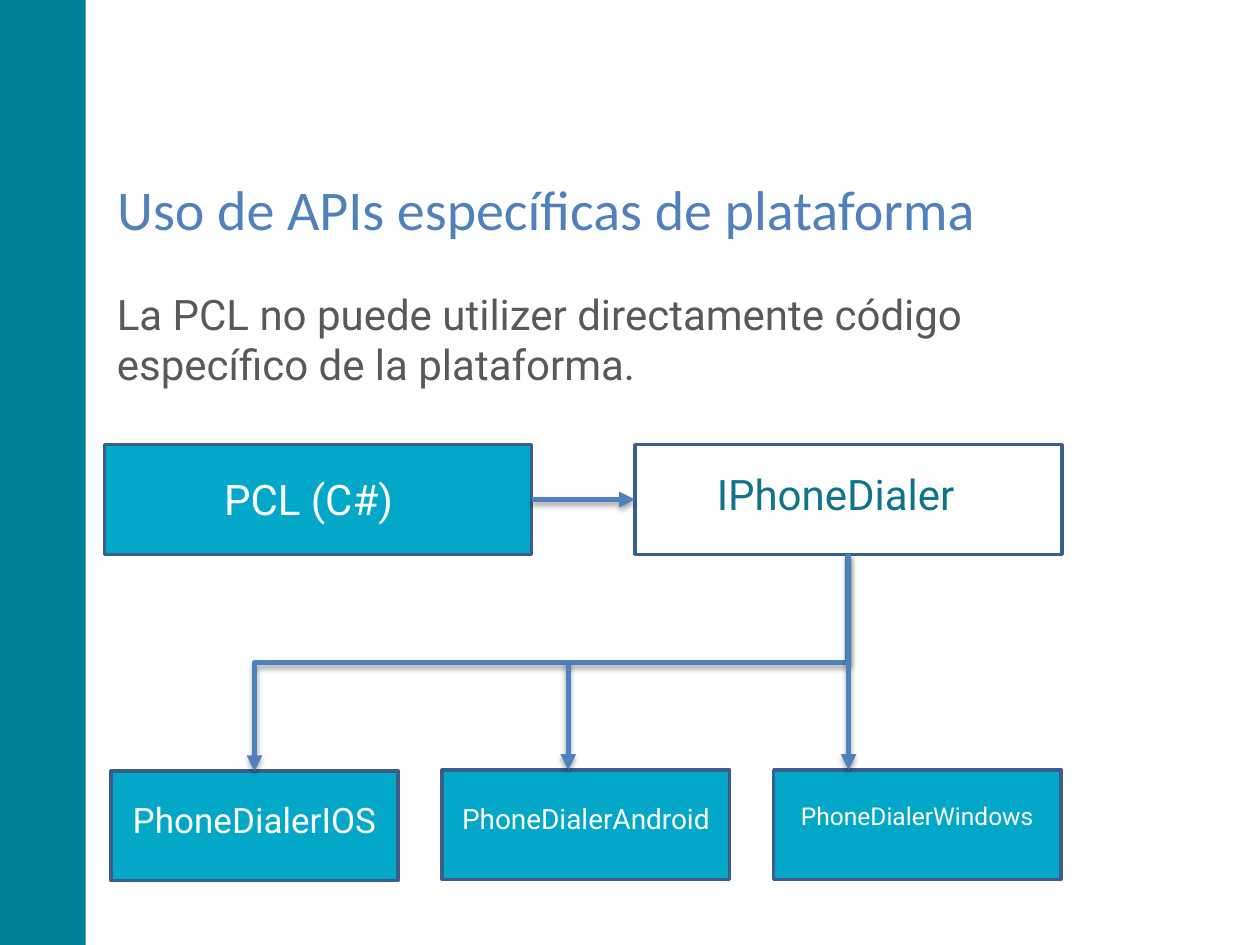
from dataclasses import dataclass
from lxml import etree
from pptx import Presentation
from pptx.dml.color import RGBColor
from pptx.enum.shapes import MSO_CONNECTOR, MSO_SHAPE
from pptx.enum.text import MSO_ANCHOR, MSO_AUTO_SIZE, PP_ALIGN
from pptx.oxml import parse_xml
from pptx.oxml.ns import nsdecls, qn
from pptx.shapes.autoshape import Shape
from pptx.shapes.connector import Connector
from pptx.slide import Slide
from pptx.util import Inches, Pt

RECT = MSO_SHAPE.RECTANGLE
LINE, BENT = MSO_CONNECTOR.STRAIGHT, MSO_CONNECTOR.ELBOW
LEFT, MID = PP_ALIGN.LEFT, PP_ALIGN.CENTER
CENTER = MSO_ANCHOR.MIDDLE
FIXED, GROW = MSO_AUTO_SIZE.NONE, MSO_AUTO_SIZE.SHAPE_TO_FIT_TEXT
DOWN, WEST, EAST = 2, 1, 3


@dataclass(frozen=True)
class Theme:
    bar: str = "027F98"
    blue: str = "4F81BD"
    gray: str = "595959"
    cyan: str = "03A8C9"
    white: str = "FFFFFF"
    edge: str = "3A5F8C"
    teal: str = "0F748A"
    head: str = "Calibri"
    body: str = "Roboto"
    title: int = 32
    text: int = 24
    frame: int = 2
    wire: int = 3


@dataclass(frozen=True)
class Area:
    left: float
    top: float
    width: float
    height: float


@dataclass(frozen=True)
class Label:
    text: str
    area: Area
    size: int
    color: str
    align: PP_ALIGN = LEFT


@dataclass(frozen=True)
class Node:
    area: Area
    fill: str
    label: Label


THEME = Theme()
BOX_W, BOX_H, LEAF_W = 3.39, 0.87, 2.28
LEAF_X, STEP = 0.88, 2.63
TRUNK_X, FORK_Y, ROW_Y = 6.73, 5.25, 6.11


def set_area(shape: Shape, area: Area) -> None:
    shape.left, shape.top = Inches(area.left), Inches(area.top)
    shape.width, shape.height = Inches(area.width), Inches(area.height)


def write(shape: Shape, text: str, size: int, color: str, font: str, align: PP_ALIGN) -> None:
    para = shape.text_frame.paragraphs[0]
    para.alignment = align
    run = para.add_run()
    run.text = text
    run.font.name = font
    run.font.size = Pt(size)
    run.font.color.rgb = RGBColor.from_string(color)


def add_rect(slide: Slide, area: Area, fill: str, edge: str | None = None) -> Shape:
    rect = slide.shapes.add_shape(RECT, 0, 0, 0, 0)
    set_area(rect, area)
    rect.shadow.inherit = False
    rect.fill.solid()
    rect.fill.fore_color.rgb = RGBColor.from_string(fill)
    if edge:
        rect.line.color.rgb = RGBColor.from_string(edge)
        rect.line.width = Pt(THEME.frame)
    else:
        rect.line.fill.background()
    return rect


def add_label(slide: Slide, label: Label) -> None:
    box = slide.shapes.add_textbox(0, 0, 0, 0)
    set_area(box, label.area)
    box.text_frame.word_wrap = True
    box.text_frame.auto_size = GROW
    write(box, label.text, label.size, label.color, THEME.body, label.align)


def style_wire(wire: Connector) -> None:
    wire.line.color.rgb = RGBColor.from_string(THEME.blue)
    wire.line.width = Pt(THEME.wire)
    stroke = wire.line._get_or_add_ln()
    etree.SubElement(stroke, qn("a:tailEnd"), type="triangle")
    stroke.addnext(parse_xml(
        f'<a:effectLst {nsdecls("a")}><a:outerShdw blurRad="{Pt(3.1)}" '
        f'dist="{Pt(1.8)}" dir="5400000" rotWithShape="0"><a:srgbClr val="000000">'
        '<a:alpha val="35000"/></a:srgbClr></a:outerShdw></a:effectLst>'))


def add_wire(slide: Slide, x1: float, y1: float, x2: float, y2: float) -> Connector:
    wire = slide.shapes.add_connector(LINE, Inches(x1), Inches(y1), Inches(x2), Inches(y2))
    style_wire(wire)
    return wire


def add_bent(slide: Slide, x1: float, y1: float, x2: float, y2: float) -> None:
    mid_x, mid_y = (x1 + x2) / 2, (y1 + y2) / 2
    half_w, half_h = (y2 - y1) / 2, (x1 - x2) / 2
    wire = slide.shapes.add_connector(
        BENT, Inches(mid_x - half_w), Inches(mid_y - half_h),
        Inches(mid_x + half_w), Inches(mid_y + half_h))
    wire._element.spPr.find(qn("a:xfrm")).set("rot", "5400000")
    style_wire(wire)


def add_node(slide: Slide, node: Node) -> Shape:
    return add_rect(slide, node.area, node.fill, THEME.edge)


def add_title(slide: Slide, text: str) -> None:
    title = slide.shapes.title
    set_area(title, Area(0.83, 1.33, 7.37, 0.65))
    title.text_frame.word_wrap = True
    title.text_frame.auto_size = FIXED
    title.text_frame.vertical_anchor = CENTER
    write(title, text, THEME.title, THEME.blue, THEME.head, LEFT)


def leaf(col: int, top: float, text: str, size: int, text_y: float, text_h: float) -> Node:
    left = LEAF_X + col * STEP
    label = Label(text, Area(left, text_y, LEAF_W, text_h), size, THEME.white, MID)
    return Node(Area(left, top, LEAF_W, BOX_H), THEME.cyan, label)


def main() -> None:
    deck = Presentation()
    deck.slide_width, deck.slide_height = Inches(10), Inches(7.5)
    slide = deck.slides.add_slide(deck.slide_layouts[5])
    add_rect(slide, Area(0, -0.01, 0.68, 7.53), THEME.bar)
    add_title(slide, "Uso de APIs específicas de plataforma")
    add_label(slide, Label(
        "La PCL no puede utilizer directamente código específico de la plataforma.",
        Area(0.83, 2.24, 8.43, 0.91), THEME.text, THEME.gray))

    nodes = [
        Node(Area(0.83, 3.53, BOX_W, BOX_H), THEME.cyan,
             Label("PCL (C#)", Area(1.68, 3.71, 1.65, 0.5), THEME.text, THEME.white)),
        Node(Area(5.04, 3.53, BOX_W, BOX_H), THEME.white,
             Label("IPhoneDialer", Area(5.59, 3.67, 2.28, 0.5), THEME.text, THEME.teal)),
        leaf(0, 6.12, "PhoneDialerIOS", 20, 6.29, 0.44),
        leaf(1, ROW_Y, "PhoneDialerAndroid", 16, 6.31, 0.37),
        leaf(2, ROW_Y, "PhoneDialerWindows", 14, 6.31, 0.34),
    ]
    core, face, *_ = [add_node(slide, node) for node in nodes]

    call = add_wire(slide, 4.22, 3.96, 5.04, 3.96)
    call.begin_connect(core, EAST)
    call.end_connect(face, WEST)
    add_bent(slide, TRUNK_X, 4.4, 2.02, 6.12)
    trunk = add_wire(slide, TRUNK_X, 4.4, TRUNK_X, ROW_Y)
    trunk.begin_connect(face, DOWN)
    trunk.end_x = trunk.begin_x
    add_wire(slide, 4.51, FORK_Y, 4.51, ROW_Y)

    for node in nodes:
        add_label(slide, node.label)
    deck.save("out.pptx")


if __name__ == "__main__":
    main()
